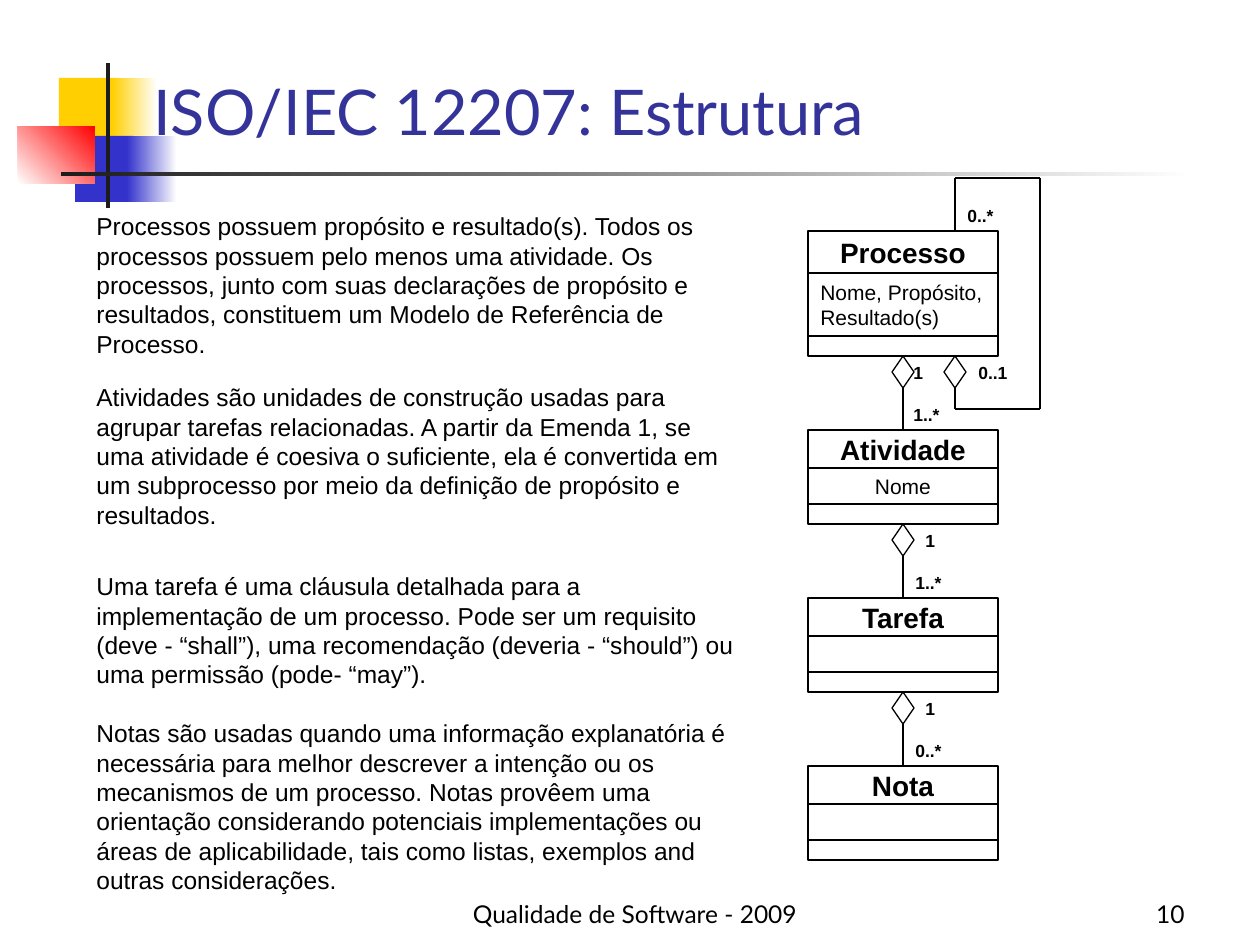
from lxml.etree import SubElement
from pptx import Presentation
from pptx.dml.color import RGBColor
from pptx.enum.shapes import MSO_CONNECTOR as Conn, MSO_SHAPE as Shape
from pptx.enum.text import MSO_ANCHOR as Anchor, PP_ALIGN as Align
from pptx.oxml.ns import qn
from pptx.util import Pt

PX = 914400 / 126
BLACK = RGBColor(0, 0, 0)
WHITE = RGBColor(0xFF, 0xFF, 0xFF)
INK = RGBColor(0x1C, 0x1C, 0x1C)
GOLD = RGBColor(0xFF, 0xCF, 0x01)
BLUE = RGBColor(0x33, 0x33, 0xCC)
NAVY = RGBColor(0x33, 0x33, 0x99)
RED = RGBColor(0xFF, 0, 0)

PROSE = [
    (0, "Processos possuem propósito e resultado(s). Todos os processos possuem pelo menos "
        "uma atividade. Os processos, junto com suas declarações de propósito e resultados, "
        "constituem um Modelo de Referência de Processo."),
    (171, "Atividades são unidades de construção usadas para agrupar tarefas relacionadas. "
          "A partir da Emenda 1, se uma atividade é coesiva o suficiente, ela é convertida em "
          "um subprocesso por meio da definição de propósito e resultados."),
    (360, "Uma tarefa é uma cláusula detalhada para a implementação de um processo. Pode ser "
          "um requisito (deve - “shall”), uma recomendação (deveria - “should”) ou uma "
          "permissão (pode- “may”)."),
    (507, "Notas são usadas quando uma informação explanatória é necessária para melhor "
          "descrever a intenção ou os mecanismos de um processo. Notas provêem uma orientação "
          "considerando potenciais implementações ou áreas de aplicabilidade, tais como "
          "listas, exemplos and outras considerações."),
]


def px(*nums):
    """Turn px lengths into EMU."""
    return [round(n * PX) for n in nums]


def write(shape, text, size, font="Arial", color=BLACK, bold=False,
          align=Align.LEFT, anchor=Anchor.TOP, wrap=True):
    """Fill a shape with styled text."""
    frame = shape.text_frame
    frame.word_wrap = wrap
    frame.vertical_anchor = anchor
    frame.text = text
    for para in frame.paragraphs:
        para.alignment = align
        para.line_spacing = Pt(round(size * 1.2, 1))
        for run in para.runs:
            run.font.name = font
            run.font.size = Pt(size)
            run.font.bold = bold
            run.font.color.rgb = color


def label(slide, box, text, size, **style):
    """Add a text box."""
    write(slide.shapes.add_textbox(*px(*box)), text, size, **style)


def block(slide, box, start, end=None, angle=0):
    """Add a borderless bar, plain or fading to a second colour."""
    bar = slide.shapes.add_shape(Shape.RECTANGLE, *px(*box))
    bar.shadow.inherit = False
    bar.line.fill.background()
    if end is None:
        bar.fill.solid()
        bar.fill.fore_color.rgb = start
        return
    bar.fill.gradient()
    bar.fill.gradient_angle = angle
    for stop, color, place in zip(bar.fill.gradient_stops, (start, end), (0, 1)):
        stop.color.rgb = color
        stop.position = place


def hollow(slide, kind, box, width):
    """Add an unfilled outline shape."""
    shape = slide.shapes.add_shape(kind, *px(*box))
    shape.shadow.inherit = False
    shape.fill.background()
    shape.line.color.rgb = BLACK
    shape.line.width = Pt(width)
    return shape


def link(slide, start, end, tail=None, head=None):
    """Draw a thin line, joined below tail and above head when given."""
    line = slide.shapes.add_connector(Conn.STRAIGHT, *px(*start, *end))
    line.line.color.rgb = BLACK
    line.line.width = Pt(0.75)
    SubElement(line._element.spPr, qn("a:effectLst"))
    if tail is not None:
        line.begin_connect(tail, 2)
    if head is not None:
        line.end_connect(head, 0)


def emblem(slide, x, y):
    """Place the coloured blocks and the two rules."""
    block(slide, (x + 41, y + 15, 60, 66), GOLD)
    block(slide, (x + 94, y + 15, 45, 66), GOLD, WHITE)
    block(slide, (x + 57, y + 73, 58, 66), BLUE)
    block(slide, (x + 109, y + 73, 50, 66), BLUE, WHITE)
    block(slide, (x, y + 63, 77, 58), WHITE, RED, 45)
    block(slide, (x + 88, y, 4, 145), INK)
    block(slide, (x + 43, y + 109, 1134, 4), INK, WHITE)


def entity(slide, x, y, wide, name, attrs="", tall=(38, 36, 20), align=Align.CENTER):
    """Place a three-part class box and return its head."""
    parts = []
    for high in tall:
        parts.append(hollow(slide, Shape.RECTANGLE, (x, y, wide, high), 1))
        y += high
    write(parts[0], name, 16, bold=True, align=Align.CENTER, anchor=Anchor.MIDDLE, wrap=False)
    if attrs:
        write(parts[1], attrs, 12, align=align, anchor=Anchor.MIDDLE, wrap=False)
    return parts[0]


def loop(slide, x, y):
    """Place the self-aggregation of the first class, from its top edge."""
    gem = hollow(slide, Shape.DIAMOND, (x - 11, y + 125, 22, 32), 0.75)
    turns = [(x, y + 157), (x, y + 178), (x + 85, y + 178),
             (x + 85, y - 53), (x, y - 53), (x, y)]
    for step, (start, end) in enumerate(zip(turns, turns[1:])):
        link(slide, start, end, tail=None if step else gem)
    label(slide, (x + 11, y + 125, 66, 34), "0..1", 10, bold=True)
    label(slide, (x, y - 32, 64, 34), "0..*", 10, bold=True)


def diagram(slide, x, y, wide):
    """Place the class chain with its aggregations."""
    mid = x + wide // 2
    entity(slide, x, y, wide, "Processo", "Nome, Propósito,\nResultado(s)",
           (42, 63, 20), Align.LEFT)
    loop(slide, mid + 52, y)
    chain = [("Atividade", "Nome", "1..*", -2, -2),
             ("Tarefa", "", "1..*", 10, 0),
             ("Nota", "", "0..*", 10, 0)]
    for row, (name, attrs, many, near, far) in enumerate(chain):
        top = y + 125 + 168 * row
        head = entity(slide, x, top + 74, wide, name, attrs)
        gem = hollow(slide, Shape.DIAMOND, (mid - 11, top, 22, 32), 0.75)
        link(slide, (mid, top + 32), (mid, top + 74), gem, head)
        label(slide, (mid + near, top, 50, 34), "1", 10, bold=True)
        label(slide, (mid + far, top + 42, 63, 34), many, 10, bold=True)


def prose(slide, x, y, wide):
    """Place the explanatory paragraphs."""
    for drop, text in PROSE:
        label(slide, (x, y + drop, wide, 160), text, 14)


def footer(slide, x, y, wide):
    """Place the footer text and the page number."""
    style = dict(font="Lato", anchor=Anchor.BOTTOM)
    label(slide, (x, y, 804, 63), "Qualidade de Software - 2009", 14,
          align=Align.CENTER, **style)
    label(slide, (x + wide - 130, y, 130, 63), "10", 14, align=Align.RIGHT, **style)


def main():
    """Build and save the slide."""
    deck = Presentation()
    deck.slide_width, deck.slide_height = px(1260, 945)
    slide = deck.slides.add_slide(deck.slide_layouts[6])
    emblem(slide, 18, 63)
    label(slide, (141, 66, 1119, 88), "ISO/IEC 12207: Estrutura", 36, font="Lato", color=NAVY)
    diagram(slide, 808, 231, 190)
    prose(slide, 84, 205, 674)
    footer(slide, 233, 872, 964)
    deck.save("out.pptx")


if __name__ == "__main__":
    main()
